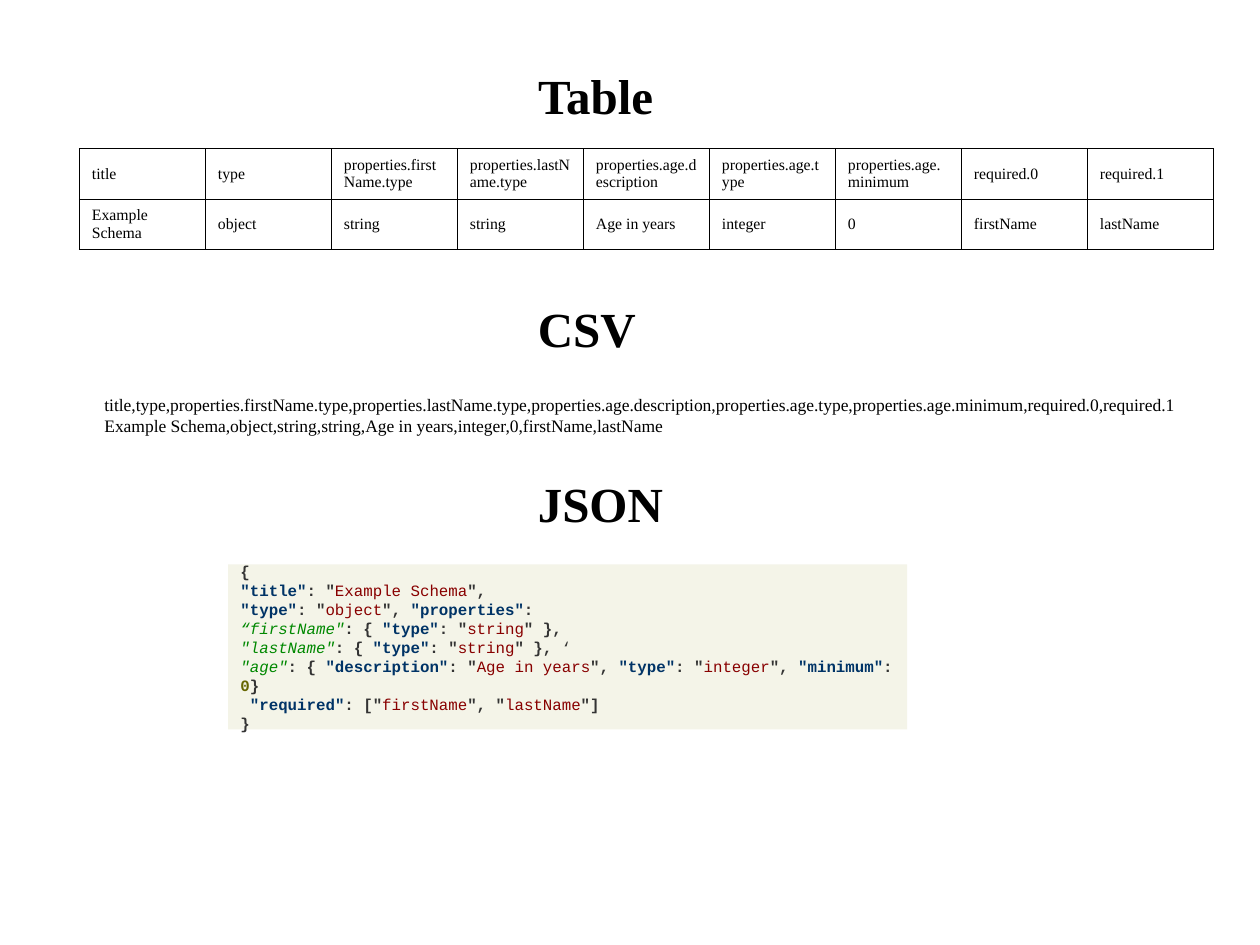
from dataclasses import dataclass

from lxml import etree
from pptx import Presentation
from pptx.dml.color import RGBColor
from pptx.enum.shapes import MSO_SHAPE
from pptx.enum.text import MSO_ANCHOR, MSO_AUTO_SIZE, PP_ALIGN
from pptx.oxml.ns import qn
from pptx.util import Inches, Pt

RECTANGLE = MSO_SHAPE.RECTANGLE
TOP, MIDDLE = MSO_ANCHOR.TOP, MSO_ANCHOR.MIDDLE
LEFT = PP_ALIGN.LEFT
FIXED_SIZE = MSO_AUTO_SIZE.NONE
TITLE_ONLY = 5


@dataclass(frozen=True)
class Theme:
    """Colours, fonts and type sizes of the slide."""
    serif: str = "Times New Roman"
    mono: str = "Courier New"
    heading: float = 28
    body: float = 10
    small: float = 9
    border: float = 0.75
    ink: str = "000000"
    panel: str = "F4F4E8"
    mark: tuple = ("333333", True, False)
    quote: tuple = ("333333", False, False)
    key: tuple = ("003366", True, False)
    value: tuple = ("880000", False, False)
    field: tuple = ("008800", False, True)
    number: tuple = ("666600", True, False)


THEME = Theme()
HEADING_LEFT, HEADING_HEIGHT = 4.17, 0.57
COLUMN, ROW = 1, 0.4
RECORD = {
    "title": "Example Schema",
    "type": "object",
    "properties.firstName.type": "string",
    "properties.lastName.type": "string",
    "properties.age.description": "Age in years",
    "properties.age.type": "integer",
    "properties.age.minimum": "0",
    "required.0": "firstName",
    "required.1": "lastName",
}


def key(name):
    """Return the tokens of a quoted key."""
    return [(THEME.key, f'"{name}"')]


def mark(text):
    """Return the token of some punctuation."""
    return [(THEME.mark, text)]


def value(text):
    """Return the token of a string value."""
    return [(THEME.value, text)]


def pair(name, text):
    """Return the tokens of a key and its string value, up to the closing quote."""
    return key(name) + mark(': "') + value(text)


def field(label):
    """Return the tokens that open a property."""
    return [(THEME.field, label)] + mark(": { ")


def schema_lines():
    """Return the JSON schema as lines of tokens."""
    return [
        mark("{"),
        pair("title", "Example Schema") + mark('",'),
        pair("type", "object") + mark('", ') + key("properties") + mark(":"),
        field('“firstName"') + pair("type", "string") + mark('" },'),
        field('"lastName"') + pair("type", "string") + mark('" },') + [(THEME.quote, " ‘")],
        field('"age"') + pair("description", "Age in years") + mark('", ')
        + pair("type", "integer") + mark('", ') + key("minimum") + mark(": ")
        + [(THEME.number, "0")] + mark("}"),
        mark(" ") + key("required") + mark(': ["') + value("firstName")
        + mark('", "') + value("lastName") + mark('"]'),
        mark("}"),
    ]


def set_font(font, size, bold=False):
    """Apply the serif type of the theme."""
    font.name, font.size, font.bold = THEME.serif, Pt(size), bold
    font.color.rgb = RGBColor.from_string(THEME.ink)


def write(frame, lines, size, bold=False):
    """Fill a text frame with left-aligned paragraphs."""
    frame.word_wrap = True
    frame.auto_size = FIXED_SIZE
    frame.vertical_anchor = TOP
    frame.text = "\n".join(lines)
    for paragraph in frame.paragraphs:
        paragraph.alignment = LEFT
        set_font(paragraph.font, size, bold)


def add_text(slide, lines, left, top, width, height, size, bold=False):
    """Add a text box."""
    box = slide.shapes.add_textbox(*map(Inches, (left, top, width, height)))
    write(box.text_frame, lines, size, bold)


def place_title(slide, text, top, width):
    """Move and fill the title placeholder."""
    title = slide.shapes.title
    title.left, title.top = Inches(HEADING_LEFT), Inches(top)
    title.width, title.height = Inches(width), Inches(HEADING_HEIGHT)
    write(title.text_frame, [text], THEME.heading, True)


def add_heading(slide, text, top, width):
    """Add a section heading in line with the title."""
    add_text(slide, [text], HEADING_LEFT, top, width, HEADING_HEIGHT, THEME.heading, True)


def add_borders(cell):
    """Draw a thin line on each side of a cell."""
    properties = cell._tc.get_or_add_tcPr()
    for side in ("lnL", "lnR", "lnT", "lnB"):
        line = etree.SubElement(properties, qn(f"a:{side}"), w=str(Pt(THEME.border)))
        fill = etree.SubElement(line, qn("a:solidFill"))
        etree.SubElement(fill, qn("a:srgbClr"), val=THEME.ink)


def add_record_table(slide, rows, left, top):
    """Add a plain bordered table."""
    columns = len(rows[0])
    table = slide.shapes.add_table(
        len(rows), columns, Inches(left), Inches(top),
        Inches(columns * COLUMN), Inches(len(rows) * ROW)).table
    table.first_row = table.horz_banding = False
    for row, entries in enumerate(rows):
        for column, entry in enumerate(entries):
            cell = table.cell(row, column)
            cell.text = entry
            cell.vertical_anchor = MIDDLE
            set_font(cell.text_frame.paragraphs[0].font, THEME.small)
            add_borders(cell)
            cell.fill.background()


def add_code_panel(slide, lines, left, top, width, height):
    """Add a tinted panel with coloured code."""
    panel = slide.shapes.add_shape(RECTANGLE, *map(Inches, (left, top, width, height)))
    panel.shadow.inherit = False
    panel.fill.solid()
    panel.fill.fore_color.rgb = RGBColor.from_string(THEME.panel)
    panel.line.fill.background()
    frame = panel.text_frame
    frame.word_wrap = True
    frame.vertical_anchor = MIDDLE
    frame.margin_top = frame.margin_bottom = 0
    for number, tokens in enumerate(lines):
        paragraph = frame.add_paragraph() if number else frame.paragraphs[0]
        paragraph.alignment = LEFT
        paragraph.font.name, paragraph.font.size = THEME.mono, Pt(THEME.small)
        for (color, bold, italic), text in tokens:
            run = paragraph.add_run()
            run.text = text
            run.font.bold, run.font.italic = bold, italic
            run.font.color.rgb = RGBColor.from_string(color)


def main():
    """Build the slide and save it."""
    deck = Presentation()
    deck.slide_width, deck.slide_height = Inches(10), Inches(7.5)
    slide = deck.slides.add_slide(deck.slide_layouts[TITLE_ONLY])
    rows = [list(RECORD), list(RECORD.values())]
    place_title(slide, "Table", 0.47, 1.21)
    add_record_table(slide, rows, 0.63, 1.18)
    add_heading(slide, "CSV", 2.32, 0.99)
    add_text(slide, [",".join(row) for row in rows], 0.73, 3.08, 8.98, 0.44, THEME.body)
    add_heading(slide, "JSON", 3.71, 1.21)
    add_code_panel(slide, schema_lines(), 1.81, 4.48, 5.39, 1.31)
    deck.save("out.pptx")


if __name__ == "__main__":
    main()
